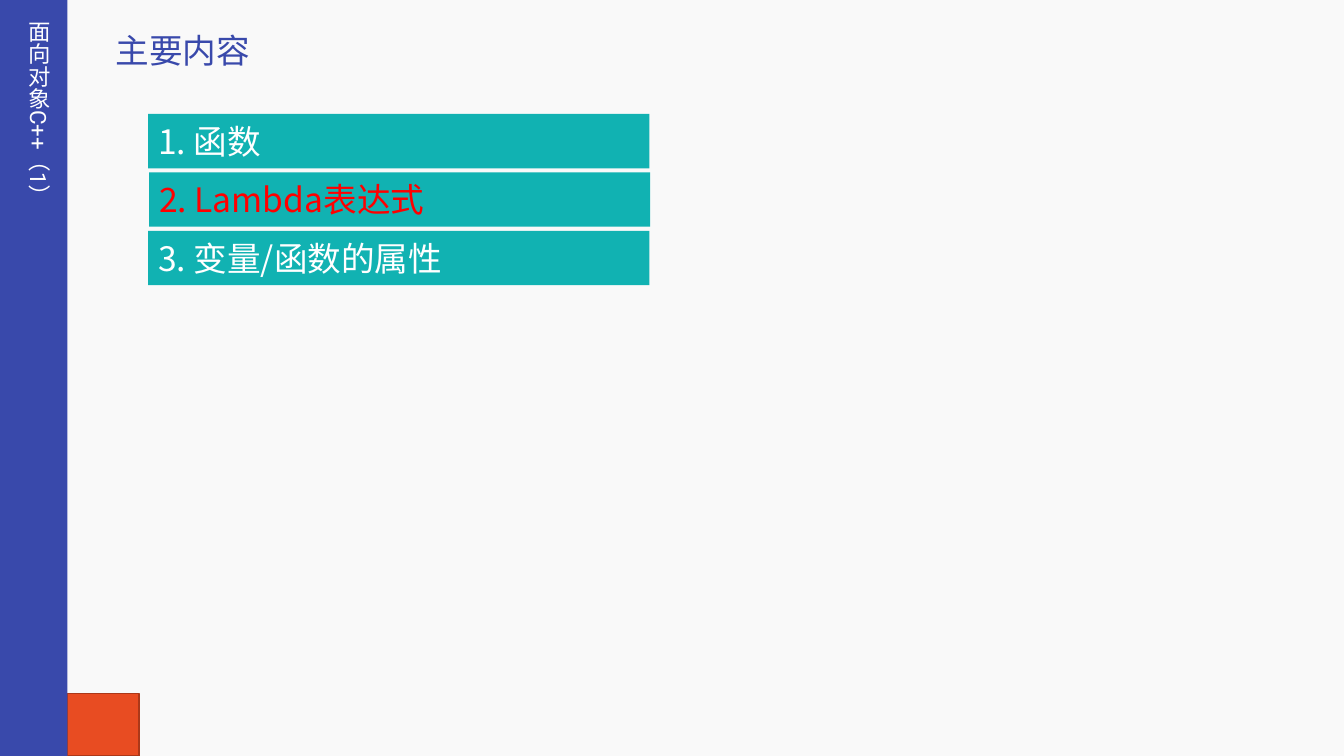
from pptx import Presentation
from pptx.dml.color import RGBColor
from pptx.enum.shapes import MSO_SHAPE
from pptx.enum.text import MSO_ANCHOR, MSO_AUTO_SIZE, PP_ALIGN
from pptx.oxml.ns import qn
from pptx.util import Inches, Pt

COLORS = {
    "background": "F9F9F9",
    "indigo": "3949AB",
    "orange": "E84C22",
    "rust": "AC3819",
    "teal": "11B2B2",
    "white": "FFFFFF",
    "red": "FF0000",
}


def rgb(name):
    return RGBColor.from_string(COLORS[name])


class SlideBuilder:
    """Holds the style and the current slide."""

    text_font = "Roboto"
    topic_font = "Noto Sans CJK SC"

    def __init__(self, slide):
        self.slide = slide
        slide.background.fill.solid()
        slide.background.fill.fore_color.rgb = rgb("background")

    def add_run(self, paragraph, text, size, font, color):
        run = paragraph.add_run()
        run.text = text
        run.font.size = Pt(size)
        run.font.name = font
        run.font.color.rgb = rgb(color)
        # East Asian characters take the same typeface
        east_asian = run.font._element.makeelement(qn("a:ea"), {"typeface": font})
        run.font._element.find(qn("a:latin")).addnext(east_asian)

    def rectangle(self, left, top, width, height, fill, line=None):
        shape = self.slide.shapes.add_shape(
            MSO_SHAPE.RECTANGLE, *map(Inches, (left, top, width, height)))
        shape.shadow.inherit = False
        shape.fill.solid()
        shape.fill.fore_color.rgb = rgb(fill)
        if line:
            shape.line.color.rgb = rgb(line)
            shape.line.width = Pt(1)
        else:
            shape.line.fill.background()
        return shape

    def label(self, left, top, width, height, text, size, color, vertical=False):
        box = self.slide.shapes.add_textbox(*map(Inches, (left, top, width, height)))
        frame = box.text_frame
        frame.word_wrap = False
        frame.auto_size = MSO_AUTO_SIZE.SHAPE_TO_FIT_TEXT
        if vertical:
            frame._txBody.bodyPr.set("vert", "eaVert")
        self.add_run(frame.paragraphs[0], text, size, self.text_font, color)

    def topic(self, left, top, text, color):
        shape = self.rectangle(left, top, 4.97, 0.54, "teal")
        frame = shape.text_frame
        frame.word_wrap = True
        frame.vertical_anchor = MSO_ANCHOR.MIDDLE
        paragraph = frame.paragraphs[0]
        paragraph.alignment = PP_ALIGN.LEFT
        self.add_run(paragraph, text, 24, self.topic_font, color)


def main():
    presentation = Presentation()
    presentation.slide_width = Inches(13.33)
    presentation.slide_height = Inches(7.5)
    builder = SlideBuilder(presentation.slides.add_slide(presentation.slide_layouts[6]))

    # Corner block and title
    builder.rectangle(0.67, 6.88, 0.71, 0.62, "orange", line="rust")
    builder.label(1.05, 0.25, 1.64, 0.5, "主要内容", 24, "indigo")

    # Side bar with the course name
    builder.rectangle(0, 0, 0.67, 7.5, "indigo")
    builder.label(0.1, 0.11, 0.47, 2, "面向对象C++（1）", 16, "white", vertical=True)

    # Topics, with the current one in red
    topics = [
        (1.47, "1. 函数", "white"),
        (1.48, "2. Lambda表达式", "red"),
        (1.47, "3. 变量/函数的属性", "white"),
    ]
    for index, (left, text, color) in enumerate(topics):
        builder.topic(left, 1.13 + 0.58 * index, text, color)

    presentation.save("out.pptx")


if __name__ == "__main__":
    main()
